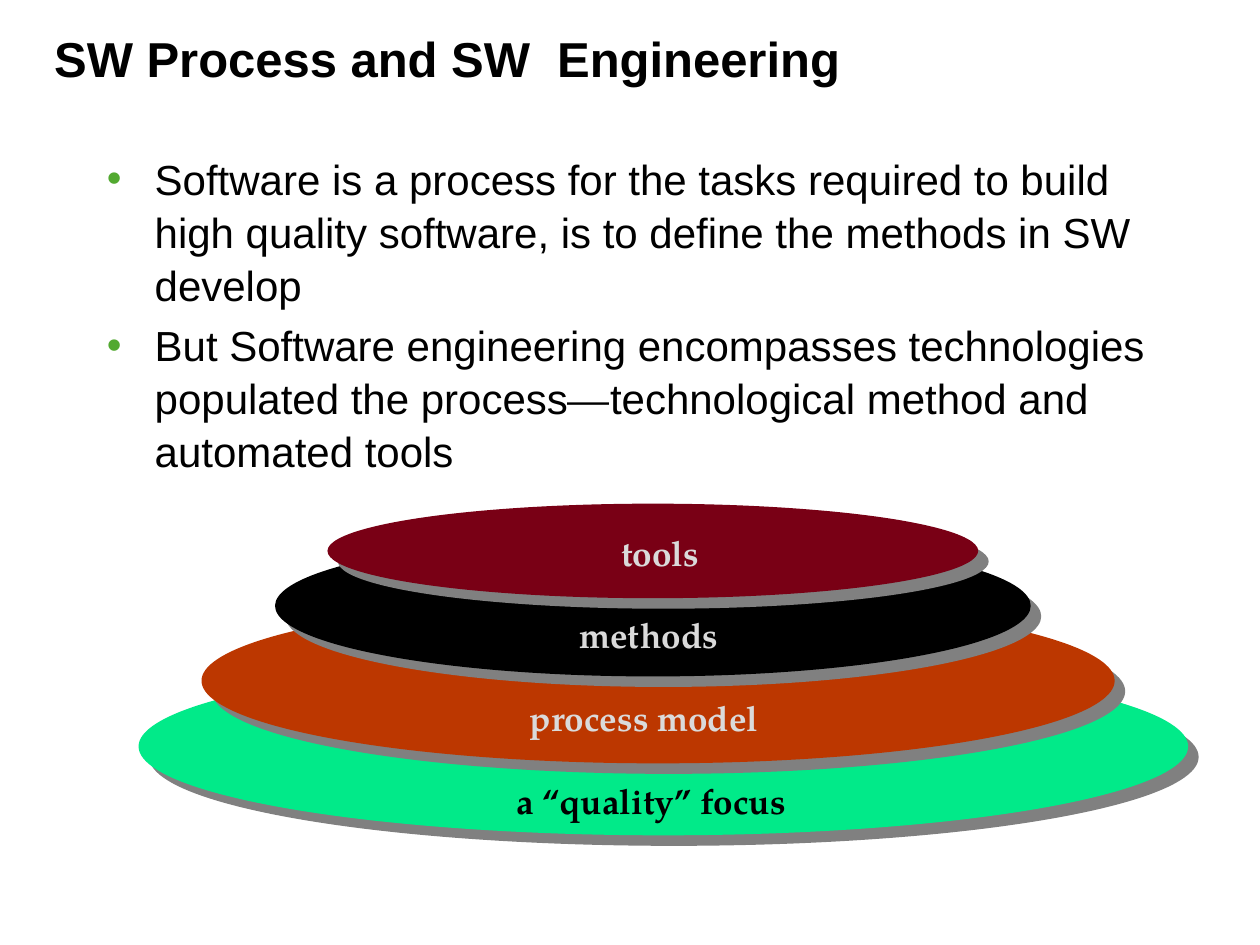
from dataclasses import dataclass

from lxml.etree import SubElement
from pptx import Presentation
from pptx.dml.color import RGBColor
from pptx.enum.shapes import MSO_SHAPE
from pptx.enum.text import MSO_ANCHOR, MSO_AUTO_SIZE, PP_ALIGN
from pptx.oxml.ns import qn
from pptx.util import Inches, Pt


@dataclass(frozen=True)
class Theme:
    sans: str = "Arial"
    serif: str = "TeX Gyre Pagella"
    title_size: int = 28
    body_size: int = 24
    label_size: int = 20
    dark: str = "000000"
    light: str = "DADADA"
    bullet: str = "52A930"
    shadow: str = "808080"


@dataclass(frozen=True)
class Box:
    left: float
    top: float
    width: float
    height: float

    def inches(self):
        return [Inches(value) for value in (self.left, self.top, self.width, self.height)]

    def region(self, left, top, width, height):
        """Box given as shares of this one."""
        return Box(self.left + left * self.width, self.top + top * self.height,
                   width * self.width, height * self.height)


THEME = Theme()
PAGE = Box(0, 0, 10, 7.5)

BULLETS = [
    ["Software is a process for the tasks required to build "
     "high quality software, is to define the methods in SW develop"],
    ["But Software engineering encompasses technologies populated the process",
     "—", "technological method and automated tools"],
]

# Bottom to top: label, fill, text colour, ellipse shares, label left and width
LAYERS = [
    ("a “quality” focus", "01EA89", THEME.dark, (0, 0.464, 1, 0.536), 0.348, 0.29),
    ("process model", "BC3700", THEME.light, (0.06, 0.285, 0.87, 0.498), 0.361, 0.26),
    ("methods", "000000", THEME.light, (0.13, 0.095, 0.72, 0.426), 0.408, 0.163),
    ("tools", "790015", THEME.light, (0.18, 0, 0.62, 0.285), 0.448, 0.103),
]
LABEL_TOP, LABEL_STEP, LABEL_HEIGHT = 0.065, 0.249, 0.163


def style(font, face, size, color, bold=False):
    font.name, font.size, font.bold = face, Pt(size), bold
    font.color.rgb = RGBColor.from_string(color)


def add_bullet(paragraph):
    properties = paragraph._p.get_or_add_pPr()
    properties.set("marL", str(Inches(0.38)))
    properties.set("indent", str(-Inches(0.38)))
    color = SubElement(properties, qn("a:buClr"))
    SubElement(color, qn("a:srgbClr"), val=THEME.bullet)
    SubElement(properties, qn("a:buFont"), typeface=THEME.sans)
    SubElement(properties, qn("a:buChar"), char="•")


def add_hard_shadow(shape):
    shape.shadow.inherit = False
    effects = shape._element.spPr.find(qn("a:effectLst"))
    shadow = SubElement(effects, qn("a:outerShdw"), dist=str(Pt(8.5)),
                        dir=str(45 * 60000), algn="ctr", rotWithShape="0")
    SubElement(shadow, qn("a:srgbClr"), val=THEME.shadow)


def place_title(slide, box):
    title = slide.shapes.title
    title.left, title.top, title.width, title.height = box.inches()
    frame = title.text_frame
    frame.text = "SW Process and SW  Engineering"
    frame.vertical_anchor = MSO_ANCHOR.MIDDLE
    frame.auto_size = MSO_AUTO_SIZE.NONE
    paragraph = frame.paragraphs[0]
    paragraph.alignment = PP_ALIGN.LEFT
    style(paragraph.runs[0].font, THEME.sans, THEME.title_size, THEME.dark, bold=True)


def place_bullets(slide, box):
    frame = slide.shapes.add_textbox(*box.inches()).text_frame
    frame.word_wrap = True
    for index, pieces in enumerate(BULLETS):
        paragraph = frame.add_paragraph() if index else frame.paragraphs[0]
        paragraph.line_spacing = 1.05
        paragraph.space_before = Pt(4.5 if index else 0)
        add_bullet(paragraph)
        for piece in pieces:
            run = paragraph.add_run()
            run.text = piece
            face = THEME.serif if piece == "—" else THEME.sans
            style(run.font, face, THEME.body_size, THEME.dark)


def place_layers(slide, box):
    for _, fill, _, shares, _, _ in LAYERS:
        ellipse = slide.shapes.add_shape(MSO_SHAPE.OVAL, *box.region(*shares).inches())
        ellipse.fill.solid()
        ellipse.fill.fore_color.rgb = RGBColor.from_string(fill)
        ellipse.line.fill.background()
        add_hard_shadow(ellipse)
    for row, (label, _, color, _, left, width) in enumerate(reversed(LAYERS)):
        label_box = box.region(left, LABEL_TOP + row * LABEL_STEP, width, LABEL_HEIGHT)
        frame = slide.shapes.add_textbox(*label_box.inches()).text_frame
        frame.word_wrap = False
        frame.auto_size = MSO_AUTO_SIZE.SHAPE_TO_FIT_TEXT
        frame.text = label
        style(frame.paragraphs[0].runs[0].font, THEME.serif, THEME.label_size, color, bold=True)


def main():
    presentation = Presentation()
    presentation.slide_width = Inches(PAGE.width)
    presentation.slide_height = Inches(PAGE.height)
    slide = presentation.slides.add_slide(presentation.slide_layouts[5])
    place_title(slide, PAGE.region(0.033, 0.033, 0.933, 0.056))
    place_bullets(slide, PAGE.region(0.075, 0.153, 0.85, 0.644))
    place_layers(slide, PAGE.region(0.11, 0.533, 0.833, 0.351))
    presentation.save("out.pptx")


if __name__ == "__main__":
    main()
